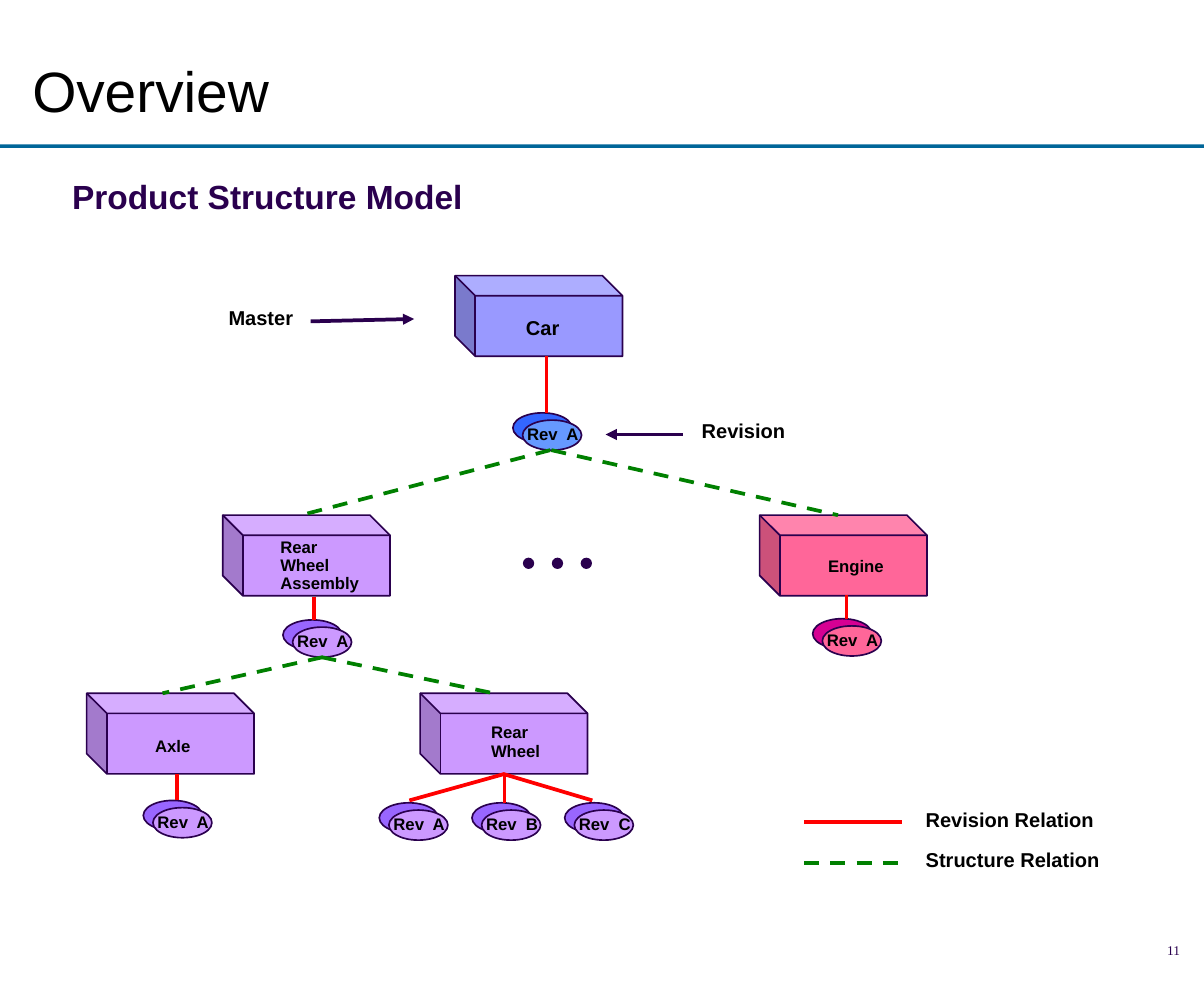
from pptx import Presentation
from pptx.dml.color import RGBColor
from pptx.enum.dml import MSO_LINE
from pptx.enum.shapes import MSO_CONNECTOR, MSO_SHAPE
from pptx.enum.text import MSO_ANCHOR, PP_ALIGN
from pptx.oxml.ns import qn
from pptx.util import Pt
from lxml import etree

SCALE = 9144
RECT, CUBE, OVAL = MSO_SHAPE.RECTANGLE, MSO_SHAPE.CUBE, MSO_SHAPE.OVAL
LINE, DASH = MSO_CONNECTOR.STRAIGHT, MSO_LINE.DASH
TOP, MIDDLE = MSO_ANCHOR.TOP, MSO_ANCHOR.MIDDLE
LEFT, RIGHT = PP_ALIGN.LEFT, PP_ALIGN.RIGHT
INK, BLACK, RED, GREEN = "2A004E", "000000", "FF0000", "008000"
LILAC, PURPLE, PINK = "CC99FF", "9966FF", "FF6699"


def px(*nums):
    """Turn px lengths into EMU."""
    return [n * SCALE for n in nums]


def tint(code):
    """Turn a hex string into a colour."""
    return RGBColor.from_string(code)


class Board:
    """Hold the style and the current slide."""

    def __init__(self, slide, font="Arial", edge=1, stroke=2.25):
        """Keep the slide and the shared style."""
        self.shapes = slide.shapes
        self.font, self.edge, self.stroke = font, edge, stroke

    def shape(self, kind, box, fill, line=INK):
        """Draw a filled preset shape."""
        item = self.shapes.add_shape(kind, *px(*box))
        item.shadow.inherit = False
        item.fill.solid()
        item.fill.fore_color.rgb = tint(fill)
        if line:
            item.line.color.rgb = tint(line)
            item.line.width = Pt(self.edge)
        else:
            item.line.fill.background()
        return item

    def text(self, box, lines, size, color=BLACK, bold=True, wrap=False,
             anchor=TOP, align=LEFT, font=None, space=0.9, indent=0):
        """Place lines of text, one paragraph each."""
        frame = self.shapes.add_textbox(*px(*box)).text_frame
        frame.word_wrap = wrap
        frame.vertical_anchor = anchor
        for i, words in enumerate(lines):
            para = frame.add_paragraph() if i else frame.paragraphs[0]
            para.alignment, para.line_spacing = align, space
            if indent:
                para._p.get_or_add_pPr().set("marL", str(indent * SCALE))
            run = para.add_run()
            run.text = words
            run.font.name, run.font.size = font or self.font, Pt(size)
            run.font.bold = bold
            run.font.color.rgb = tint(color)

    def link(self, ends, color=RED, arrow=False):
        """Draw a relation line, dashed when green."""
        item = self.shapes.add_connector(LINE, *px(*ends))
        item.line.color.rgb = tint(color)
        item.line.width = Pt(self.stroke)
        props = item._element.spPr
        if color == GREEN:
            item.line.dash_style = DASH
        if arrow:
            tail = etree.SubElement(props.find(qn("a:ln")), qn("a:tailEnd"))
            tail.set("type", "triangle")
        etree.SubElement(props, qn("a:effectLst"))

    def master(self, x, y, fill, label, lines, size=10):
        """Draw a master cube and its label."""
        cube = self.shape(CUBE, (x, y, 139, 67), fill)
        cube.adjustments[0] = 0.25
        cube._element.spPr.find(qn("a:xfrm")).set("flipH", "1")
        self.text(label, lines, size)

    def rev(self, x, y, back, front, mark="A"):
        """Draw a stacked pair of ovals with a revision mark."""
        self.shape(OVAL, (x, y, 49, 25), back)
        self.shape(OVAL, (x + 8, y + 6, 49, 25), front)
        self.text((x + 2, y + 6, 63, 25), [f"Rev  {mark}"], 10)


def main():
    """Build the product structure slide."""
    deck = Presentation()
    deck.slide_width, deck.slide_height = px(1000, 820)
    board = Board(deck.slides.add_slide(deck.slide_layouts[6]))

    board.shape(RECT, (0, 120, 1000, 3), "006699", None)
    board.text((17, 9, 817, 137), ["Overview"], 34, bold=False, wrap=True,
               anchor=MIDDLE, space=0.95)
    board.text((12, 141, 957, 641), ["Product Structure Model"], 20, INK,
               wrap=True, space=1, indent=38)

    board.master(378, 229, "9999FF", (427, 259, 48, 28), ["Car"], 12)
    board.master(185, 428, LILAC, (223, 443, 86, 55),
                 ["Rear", "Wheel", "Assembly"])
    board.master(631, 428, PINK, (678, 459, 66, 25), ["Engine"])
    board.master(72, 576, LILAC, (119, 608, 49, 25), ["Axle"])
    board.master(349, 576, LILAC, (398, 597, 61, 40), ["Rear", "Wheel"])

    board.rev(426, 343, "3366FF", "6699FF")
    board.rev(675, 514, "D60093", PINK)
    for x, y in ((235, 515), (119, 665)):
        board.rev(x, y, PURPLE, LILAC)
    for i, mark in enumerate("ABC"):
        board.rev(315 + 77 * i, 667, PURPLE, LILAC, mark)

    for ends in ((454, 296, 454, 343), (261, 496, 261, 515),
                 (703, 494, 703, 514), (147, 643, 147, 665),
                 (419, 643, 419, 667), (419, 643, 340, 665),
                 (418, 643, 492, 665), (668, 683, 749, 683)):
        board.link(ends)
    for ends in ((457, 374, 250, 428), (458, 374, 696, 428),
                 (268, 546, 135, 576), (267, 546, 410, 576),
                 (668, 717, 749, 717)):
        board.link(ends, GREEN)
    for ends in ((258, 267, 344, 265), (567, 361, 503, 361)):
        board.link(ends, INK, arrow=True)

    for box, words in (((759, 701, 165, 28), "Structure Relation"),
                       ((759, 668, 160, 28), "Revision Relation"),
                       ((180, 251, 74, 28), "Master"),
                       ((573, 345, 90, 28), "Revision")):
        board.text(box, [words], 12)
    for i in range(3):
        board.shape(OVAL, (435 + 24 * i, 464, 8, 8), INK)
    board.text((782, 762, 208, 54), ["11"], 8, INK, bold=False, wrap=True,
               anchor=MIDDLE, align=RIGHT, font="Times New Roman", space=1)
    deck.save("out.pptx")


if __name__ == "__main__":
    main()
